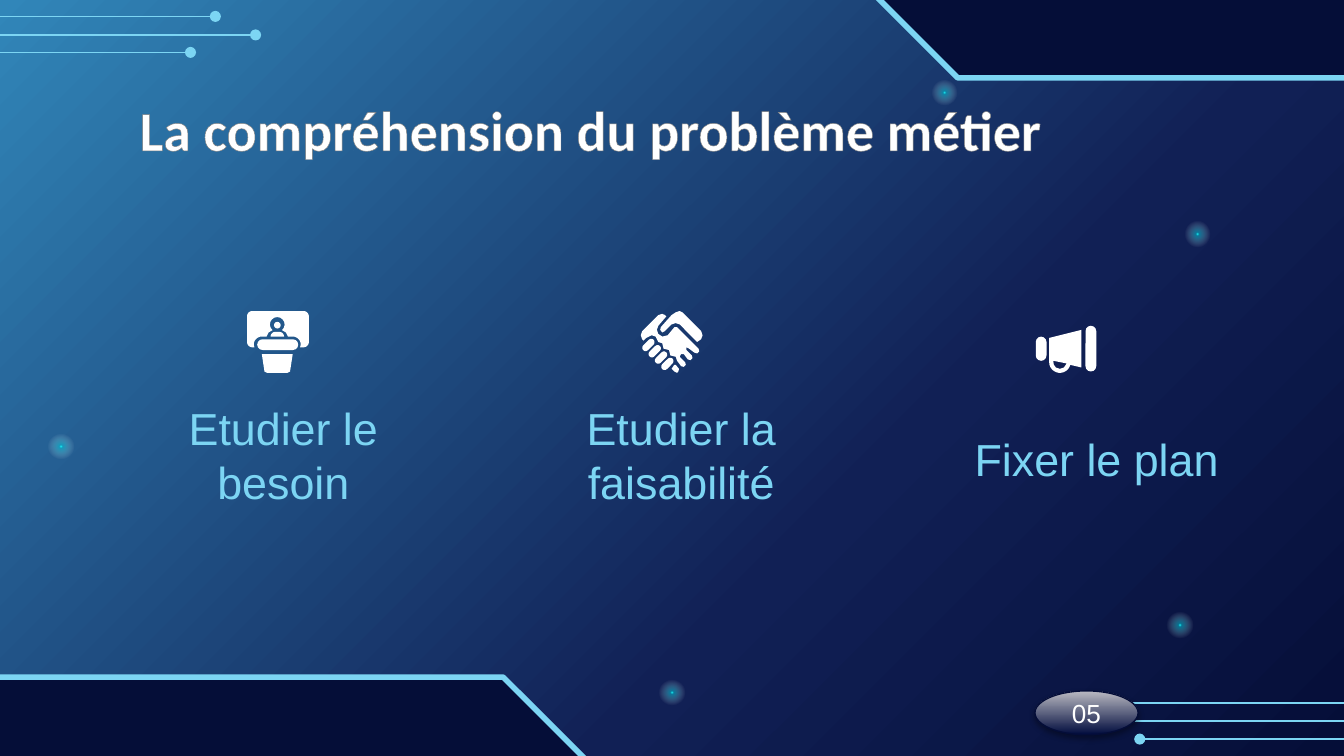
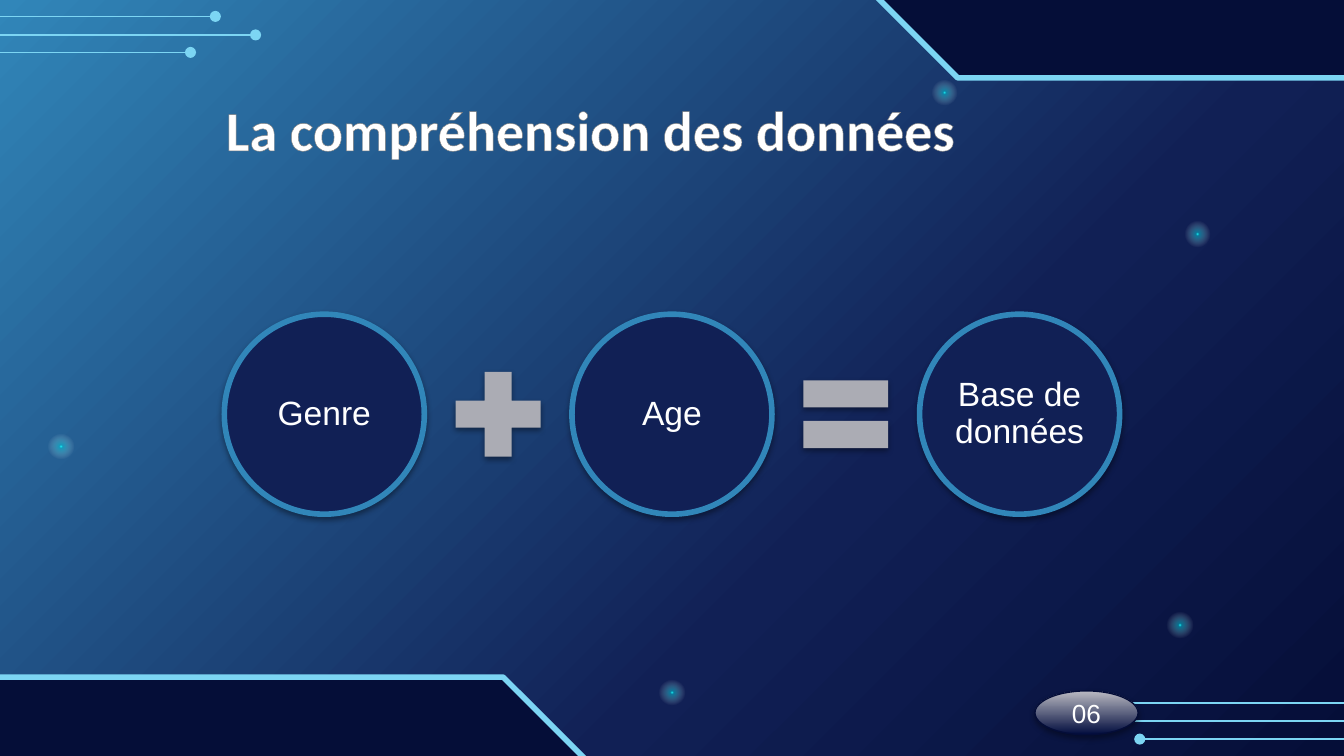
from math import cos, radians, sin

from pptx import Presentation
from pptx.dml.color import RGBColor
from pptx.enum import dml, shapes, text
from pptx.oxml import parse_xml
from pptx.oxml.ns import nsdecls, qn
from pptx.util import Cm, Pt

SHAPE = shapes.MSO_SHAPE
WHITE, SKY, BLUE = "FFFFFF", "7CD5F3", "3186B9"
NAVY, NIGHT, GREY = "112055", "050E38", "ABACB4"
UNIT = 0.0254  # icon grid step in cm


# Basic helpers
def rgb(code):
    return RGBColor.from_string(code)


def node(tag, inner="", **attrs):
    pairs = " ".join(f'{key}="{val}"' for key, val in attrs.items())
    return parse_xml(f"<a:{tag} {nsdecls('a')} {pairs}>{inner}</a:{tag}>")


def blend(owner, stops, way):
    """Fill the gradient of owner with (percent, colour, opacity) stops."""
    grad = owner.find(".//" + qn("a:gradFill"))
    grad.clear()
    row = "".join(
        f'<a:gs pos="{pos * 1000}"><a:srgbClr val="{code}">'
        f'<a:alpha val="{seen * 1000}"/></a:srgbClr></a:gs>'
        for pos, code, seen in stops)
    grad.append(node("gsLst", row))
    grad.append(way)


def slant(angle):
    return node("lin", ang=angle * 60000, scaled=0)


def stroke(line, code, width):
    line.color.rgb = rgb(code)
    line.width = Pt(width)


def draw(slide, kind, x, y, w, h, fill=None, edge=None, width=0.75):
    item = slide.shapes.add_shape(kind, Cm(x), Cm(y), Cm(w), Cm(h))
    item.shadow.inherit = False
    if fill:
        item.fill.solid()
        item.fill.fore_color.rgb = rgb(fill)
    else:
        item.fill.gradient()
    if edge:
        stroke(item.line, edge, width)
    else:
        item.line.fill.background()
    return item


def shade(item, alpha, dist):
    color = f'<a:srgbClr val="000000"><a:alpha val="{alpha * 1000}"/></a:srgbClr>'
    item._element.spPr.find(qn("a:effectLst")).append(
        node("outerShdw", color, blurRad=Pt(3.1), dist=Pt(dist),
             dir=5400000, rotWithShape=0))


def write(item, words, size, code, inset=0.25, face="Arial"):
    frame = item.text_frame
    frame.word_wrap = True
    frame.auto_size = text.MSO_AUTO_SIZE.NONE
    frame.vertical_anchor = text.MSO_ANCHOR.MIDDLE
    frame.margin_left = frame.margin_right = Cm(inset)
    frame.margin_top = frame.margin_bottom = Cm(inset)
    frame.text = words
    para = frame.paragraphs[0]
    para.alignment = text.PP_ALIGN.CENTER
    para.font.size, para.font.name = Pt(size), face
    para.font.color.rgb = rgb(code)
    return para


# Shared frame: background, bands, circuit lines, glowing dots
def band(slide, x, y, turn):
    item = draw(slide, SHAPE.SNIP_2_SAME_RECTANGLE, x, y, 13.18, 3.58,
                NIGHT, SKY, 3)
    item.adjustments[0], item.adjustments[1] = 0.5, 0
    item.rotation = turn


def wire(slide, tip, y, run):
    """Draw a line that ends in a dot at tip."""
    item = slide.shapes.add_connector(
        shapes.MSO_CONNECTOR.STRAIGHT, Cm(tip + run), Cm(y), Cm(tip), Cm(y))
    stroke(item.line, SKY, 0.75)
    item.line._get_or_add_ln().append(node("tailEnd", type="oval"))
    item._element.spPr.append(node("effectLst"))


def glow(slide, x, y):
    item = draw(slide, SHAPE.OVAL, x, y, 0.5, 0.5)
    focus = node("path", '<a:fillToRect l="50000" t="50000" r="50000" b="50000"/>',
                 path="circle")
    blend(item._element.spPr,
          [(0, "21FFFF", 100), (9, "05D8E7", 48),
           (69, WHITE, 0), (100, WHITE, 0)], focus)


def backdrop(slide):
    slide.background.fill.gradient()
    blend(slide._element,
          [(0, BLUE, 100), (64, NAVY, 100), (100, NIGHT, 100)], slant(45))
    band(slide, -1.88, 12.8, 0)
    band(slide, 16.31, -2.11, 180)
    for tip, y in ((4.83, 0.66), (3.6, 0.99), (4.07, 0.31)):
        wire(slide, tip, y, -5.87)
    for tip, y in ((20.32, 13.63), (21.54, 13.97), (21.08, 13.29)):
        wire(slide, tip, y, 5.87)
    for x, y in ((17.6, 1.5), (22.05, 11.56), (12.45, 12.84),
                 (22.38, 4.18), (0.91, 8.19)):
        glow(slide, x, y)


def head(slide, words):
    title = slide.shapes.title
    title.left, title.top = Cm(0.46), Cm(1.63)
    title.width, title.height = Cm(21.41), Cm(1.6)
    para = write(title, words, 30, WHITE, face="Calibri")
    para.font.bold = True
    run = para.runs[0]
    fill = run.font.fill
    fill.patterned()
    fill.pattern = dml.MSO_PATTERN.NARROW_HORIZONTAL
    fill.fore_color.rgb = fill.back_color.rgb = rgb(WHITE)
    edge = '<a:solidFill><a:srgbClr val="808080"/></a:solidFill>'
    run._r.get_or_add_rPr().insert(0, node("ln", edge, w=Pt(1)))


def badge(slide, number):
    item = draw(slide, SHAPE.OVAL, 19.56, 13.06, 1.95, 0.83, edge="040D38")
    blend(item._element.spPr,
          [(0, "000B3D", 100), (100, "BABAC2", 100)], slant(270))
    shade(item, 35, 1.8)
    write(item, number, 14, WHITE, 0)


# Icons, on a grid of 46 by 46 units from their corner
def arc(x, y, r, start, end, steps=12):
    turns = [radians(start + (end - start) * i / steps) for i in range(steps + 1)]
    return [(x + r * cos(t), y + r * sin(t)) for t in turns]


def carve(slide, x, y, *loops):
    pen = None
    for loop in loops:
        pts = [(px * 100, py * 100) for px, py in loop]
        if pen:
            pen.move_to(*pts[0])
        else:
            pen = slide.shapes.build_freeform(*pts[0], scale=Cm(UNIT) / 100)
        pen.add_line_segments(pts[1:], close=True)
    item = pen.convert_to_shape(Cm(x), Cm(y))
    item.shadow.inherit = False
    item.fill.solid()
    item.fill.fore_color.rgb = rgb(WHITE)
    item.line.fill.background()


def pill(slide, x, y, px, py, w, h, turn=0):
    item = draw(slide, SHAPE.ROUNDED_RECTANGLE, x + px * UNIT, y + py * UNIT,
                w * UNIT, h * UNIT, WHITE)
    item.adjustments[0] = 0.5
    item.rotation = turn


def podium(slide, x, y):
    screen = (arc(4, 4, 4, 180, 270) + arc(42, 4, 4, 270, 360)
              + arc(42, 23, 4, 0, 90) + [(39.5, 27)]
              + arc(34, 25, 6, 0, -90) + [(30.5, 19), (29, 16)]
              + arc(22.5, 10, 5.5, 50, -230) + [(16, 16), (14.5, 19)]
              + arc(11, 25, 6, -90, -180) + [(5.5, 27)]
              + arc(4, 23, 4, 90, 180))
    carve(slide, x, y, screen)
    carve(slide, x, y, [(11, 32), (34, 32), (32, 45), (30, 46), (15, 46), (13, 45)])
    carve(slide, x, y, arc(21, 19, 3.5, 180, 270) + arc(24, 19, 3.5, 270, 360))
    pill(slide, x, y, 7.5, 21, 30.5, 8)
    pill(slide, x, y, 20, 8, 5, 5)


def shake(slide, x, y):
    for i in range(4):
        pill(slide, x, y, 0.2 + 4.7 * i, 22.7 + 4.7 * i, 11, 5, -45)
    palm = [(16, 2), (13, 3), (1, 15), (0, 18), (1, 21), (2, 22), (4, 20),
            (8, 18), (11, 19), (13, 23), (16, 24), (17, 28), (21, 29),
            (22, 33), (26, 34), (27, 37), (30, 41), (32, 41.5), (33.5, 40),
            (33, 38), (29, 34), (30, 32), (32, 32), (35, 36), (37, 36.5),
            (38.5, 35), (38, 33), (34, 29), (34, 27), (36, 28), (40, 31),
            (42, 31.5), (43.5, 30), (43, 28), (40, 25), (27, 12), (25, 12),
            (20, 18), (16, 19), (13, 17), (12, 14), (13, 11), (19, 4), (18, 3)]
    cuff = [(29, 0), (26, 1), (23, 3), (15, 12), (14.5, 14), (16, 16), (18, 15),
            (23, 10), (26, 9), (29, 10), (42, 23), (45, 21), (46, 18),
            (45, 15), (31, 1)]
    thumb = [(26, 40), (25, 40), (23, 43), (25, 45), (27, 46), (28, 45), (28.5, 43)]
    for part in (palm, cuff, thumb):
        carve(slide, x, y, part)


def horn(slide, x, y):
    pill(slide, x, y, 1, 19, 8, 18)
    pill(slide, x, y, 38, 11, 8, 34)
    bell = [(35, 14), (11, 20)] + arc(19, 38, 8, 180, 15) + [(35, 42)]
    gap = [(14, 37), (24, 39), (22, 42), (19, 43), (16, 42), (14.5, 40)]
    carve(slide, x, y, bell, gap)


# Slide bodies
def steps(slide, x, y, parts):
    """Set icons at an even pitch, each above its caption."""
    for i, (icon, words, left, high) in enumerate(parts):
        icon(slide, x + 1.98 + 7.44 * i, y)
        box = slide.shapes.add_textbox(Cm(x + left), Cm(y + 1.83),
                                       Cm(5.33), Cm(high))
        write(box, words, 24, SKY)


def sums(slide, x, y, names, signs):
    """Set circles at an even pitch, with a sign centred in each gap."""
    disc, mark, pitch = 3.78, 2.18, 6.57
    for i, name in enumerate(names):
        item = draw(slide, SHAPE.OVAL, x + pitch * i, y, disc, disc,
                    NAVY, BLUE, 3)
        shade(item, 38, 1.6)
        write(item, name, 18, WHITE, 0.08).line_spacing = 0.9
    for i, sign in enumerate(signs):
        left = x + pitch * i + (disc + pitch - mark) / 2
        item = draw(slide, sign, left, y + (disc - mark) / 2, mark, mark, GREY)
        shade(item, 38, 1.6)


def page(deck, title, number):
    slide = deck.slides.add_slide(deck.slide_layouts[5])
    backdrop(slide)
    head(slide, title)
    badge(slide, number)
    return slide


def main():
    deck = Presentation()
    deck.slide_width, deck.slide_height = Cm(25.4), Cm(14.29)

    slide = page(deck, "La compréhension du problème métier", "05")
    steps(slide, 2.69, 5.88, [
        (podium, "Etudier le besoin", 0, 1.78),
        (shake, "Etudier la faisabilité", 7.52, 1.78),
        (horn, "Fixer le plan", 15.37, 1.93)])

    slide = page(deck, "La compréhension des données", "06")
    sums(slide, 4.24, 5.94, ["Genre", "Age", "Base de données"],
         [SHAPE.MATH_PLUS, SHAPE.MATH_EQUAL])

    deck.save("out.pptx")


if __name__ == "__main__":
    main()
